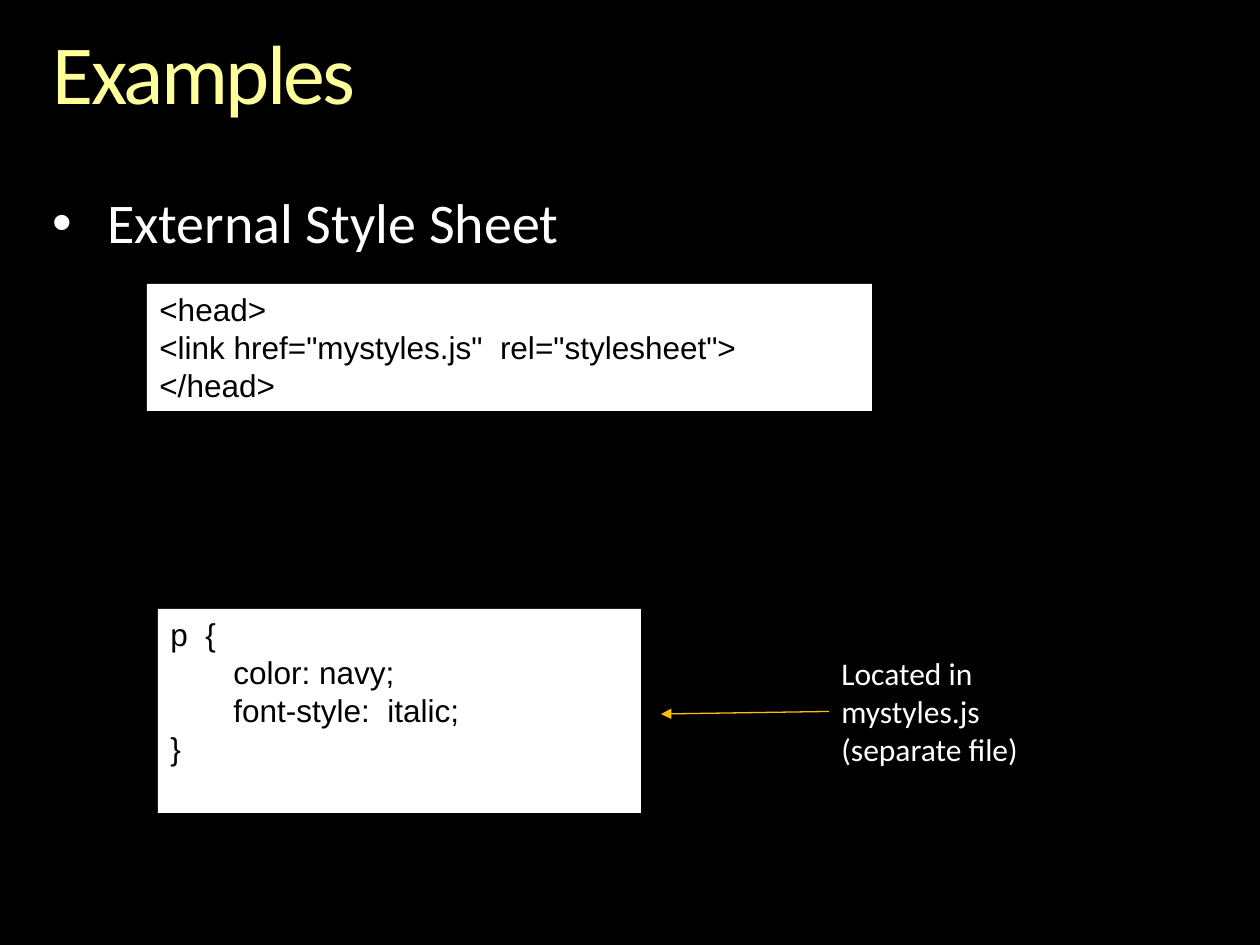
"""Build a slide showing an external style sheet example."""
from lxml.etree import SubElement
from pptx import Presentation
from pptx.dml.color import RGBColor
from pptx.enum.shapes import MSO_CONNECTOR as CONN, MSO_SHAPE as SHAPE
from pptx.enum.text import MSO_ANCHOR as ANCHOR, MSO_AUTO_SIZE as AUTO, PP_ALIGN as ALIGN
from pptx.oxml.ns import qn
from pptx.util import Emu, Pt

COLORS = {"back": "000000", "title": "FFFF99", "text": "FFFFFF",
          "panel": "FFFFFF", "code": "000000", "arrow": "FFC000"}


def px(*values):
    return [Emu(round(v * 914400 / 126)) for v in values]


def add_text(p, text, size, font, color):
    r = p.add_run()
    r.text = text
    r.font.size, r.font.name = Pt(size), font
    r.font.color.rgb = RGBColor.from_string(COLORS[color])
    return r


prs = Presentation()
prs.slide_width, prs.slide_height = px(1260, 945)
s = prs.slides.add_slide(prs.slide_layouts[1])
s.background.fill.solid()
s.background.fill.fore_color.rgb = RGBColor.from_string(COLORS["back"])

title, body = s.shapes.title, s.placeholders[1]
for sp, box, text, size, color in (
    (title, (53, 32, 1155, 92), "Examples", 48, "title"),
    (body, (53, 195, 1155, 60), "External Style Sheet", 32, "text"),
):
    sp.left, sp.top, sp.width, sp.height = px(*box)
    tf = sp.text_frame
    tf.margin_left = tf.margin_top = tf.margin_right = tf.margin_bottom = 0
    tf.vertical_anchor, tf.auto_size, tf.word_wrap = ANCHOR.TOP, AUTO.NONE, True
    p = tf.paragraphs[0]
    p.alignment, p.line_spacing, p.space_before = ALIGN.LEFT, 0.9, Pt(0)
    r = add_text(p, text, size, "Calibri", color)
    if sp is title:
        r.font._element.set("spc", "-150")
    else:
        pPr = p._p.get_or_add_pPr()
        indent = px(54)[0]
        pPr.set("marL", str(indent))
        pPr.set("indent", str(-indent))
        SubElement(pPr, qn("a:buFont"), typeface="Arial")
        SubElement(pPr, qn("a:buChar"), char="•")

for box, lines in (
    ((147, 284, 725, 127),
     ["<head>", '<link href="mystyles.js"  rel="stylesheet">', "</head>"]),
    ((158, 609, 483, 204),
     ["p  {", "\tcolor: navy;", "\tfont-style:  italic;", "}"]),
):
    sp = s.shapes.add_shape(SHAPE.RECTANGLE, *px(*box))
    sp.shadow.inherit = False
    sp.fill.solid()
    sp.fill.fore_color.rgb = RGBColor.from_string(COLORS["panel"])
    sp.line.fill.background()
    tf = sp.text_frame
    tf.word_wrap, tf.vertical_anchor = True, ANCHOR.TOP
    for i, line in enumerate(lines):
        p = tf.add_paragraph() if i else tf.paragraphs[0]
        p.alignment = ALIGN.LEFT
        add_text(p, line, 18, "Arial", "code")

caption = s.shapes.add_textbox(*px(829, 648, 210, 127))
caption.text_frame.word_wrap = True
add_text(caption.text_frame.paragraphs[0],
         "Located in mystyles.js (separate file)", 18, "Calibri", "text")

arrow = s.shapes.add_connector(CONN.STRAIGHT, *px(829, 711, 661, 714))
arrow.begin_connect(caption, 1)
arrow.line.color.rgb = RGBColor.from_string(COLORS["arrow"])
arrow.line.width = Pt(0.75)
SubElement(arrow.line._get_or_add_ln(), qn("a:tailEnd"), type="triangle")
SubElement(arrow._element.spPr, qn("a:effectLst"))

prs.save("out.pptx")
